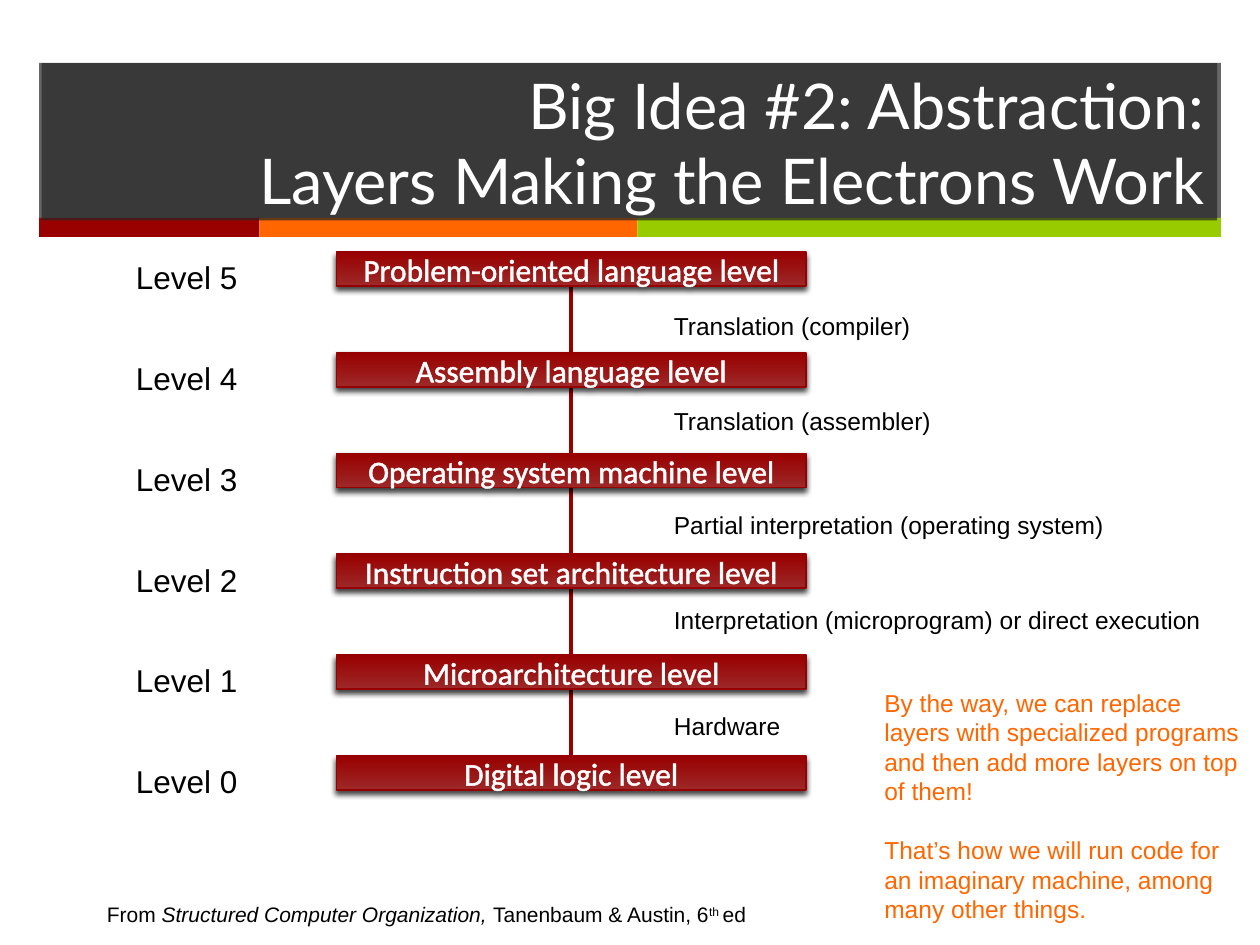
from lxml.etree import SubElement
from pptx import Presentation
from pptx.dml.color import RGBColor
from pptx.enum.shapes import MSO_CONNECTOR, MSO_SHAPE
from pptx.enum.text import MSO_ANCHOR, MSO_AUTO_SIZE, PP_ALIGN
from pptx.oxml import parse_xml
from pptx.oxml.ns import nsdecls, qn
from pptx.util import Emu, Pt

PX = 9144  # EMU per px, 100 px to the inch

WHITE = RGBColor(0xFF, 0xFF, 0xFF)
BLACK = RGBColor(0, 0, 0)
CHARCOAL = RGBColor(0x26, 0x26, 0x26)
RED = RGBColor(0x99, 0, 0)
LIGHT_RED = RGBColor(0x9D, 0x28, 0x28)
EDGE_RED = RGBColor(0x96, 0, 0)
ORANGE = RGBColor(0xFF, 0x66, 0)
GREEN = RGBColor(0x99, 0xCC, 0)

LEVELS = [
    "Problem-oriented language level",
    "Assembly language level",
    "Operating system machine level",
    "Instruction set architecture level",
    "Microarchitecture level",
    "Digital logic level",
]
STEPS = [  # top, width, text
    (242, 413, "Translation (compiler)"),
    (317, 413, "Translation (assembler)"),
    (400, 388, "Partial interpretation (operating system)"),
    (475, 458, "Interpretation (microprogram) or direct execution"),
    (559, 413, "Hardware"),
]
SOURCE = [  # text, italic, raised
    ("From ", False, False),
    ("Structured Computer Organization, ", True, False),
    ("Tanenbaum & Austin, 6", False, False),
    ("th ", False, True),
    ("ed", False, False),
]
ASIDE = [
    "By the way, we can replace layers with specialized programs "
    "and then add more layers on top of them!",
    "That’s how we will run code for an imaginary machine, "
    "among many other things.",
]
LEVEL_TOP, LEVEL_PITCH = 200, 80
BOX_LEFT, BOX_WIDTH, BOX_HEIGHT = 267, 373, 27


def px(*lengths):
    return [Emu(length * PX) for length in lengths]


def style(para, name, size, color):
    para.font.name = name
    para.font.size = Pt(size)
    para.font.color.rgb = color


def add_rect(page, left, top, width, height, color, alpha=None):
    rect = page.shapes.add_shape(MSO_SHAPE.RECTANGLE, *px(left, top, width, height))
    rect.shadow.inherit = False
    rect.line.fill.background()
    rect.fill.solid()
    rect.fill.fore_color.rgb = color
    if alpha:
        fill_color = rect._element.spPr.find(qn("a:solidFill"))[0]
        SubElement(fill_color, qn("a:alpha"), val=str(alpha * 1000))
    return rect


def add_label(page, left, top, width, height, texts, size, color=BLACK):
    box = page.shapes.add_textbox(*px(left, top, width, height))
    frame = box.text_frame
    frame.word_wrap = True
    frame.auto_size = MSO_AUTO_SIZE.SHAPE_TO_FIT_TEXT
    frame.text = "\n".join(texts)
    for para in frame.paragraphs:
        style(para, "Arial", size, color)
    return box


def add_level_box(page, top, text):
    box = add_rect(page, BOX_LEFT, top, BOX_WIDTH, BOX_HEIGHT, RED)
    box.fill.gradient()
    box.fill.gradient_angle = 90
    for stop, color in zip(box.fill.gradient_stops, (LIGHT_RED, RED)):
        stop.color.rgb = color
    box.line.color.rgb = EDGE_RED
    box.line.width = Pt(1)
    box._element.spPr.find(qn("a:effectLst")).append(parse_xml(
        f'<a:outerShdw {nsdecls("a")} blurRad="{Pt(3)}" dist="{Pt(2)}" '
        'dir="6600000" rotWithShape="0"><a:srgbClr val="000000">'
        '<a:alpha val="75000"/></a:srgbClr></a:outerShdw>'))

    box.text_frame.vertical_anchor = MSO_ANCHOR.MIDDLE
    para = box.text_frame.paragraphs[0]
    para.alignment = PP_ALIGN.CENTER
    style(para, "Calibri", 18, WHITE)
    span = para.add_run()
    span.text = text
    span._r.get_or_add_rPr().insert(0, parse_xml(
        f'<a:ln {nsdecls("a")} w="{Pt(0.75)}"><a:solidFill>'
        f'<a:srgbClr val="{WHITE}"/></a:solidFill></a:ln>'))


def add_spine(page, x, top, bottom):
    spine = page.shapes.add_connector(MSO_CONNECTOR.STRAIGHT, *px(x, top, x, bottom))
    spine.line.color.rgb = RED
    spine.line.width = Pt(2)
    SubElement(spine._element.spPr, qn("a:effectLst"))


def add_header(page):
    add_rect(page, 31, 50, 938, 124, CHARCOAL, 70)
    for left, width, color in ((31, 175, RED), (206, 300, ORANGE), (506, 463, GREEN)):
        add_rect(page, left, 173, width, 15, color)
    title = add_rect(page, 33, 50, 933, 125, CHARCOAL, 70)
    title.text_frame.vertical_anchor = MSO_ANCHOR.MIDDLE
    para = title.text_frame.paragraphs[0]
    para.text = "Big Idea #2: Abstraction:\vLayers Making the Electrons Work"
    para.alignment = PP_ALIGN.RIGHT
    style(para, "Lato", 36, WHITE)


def add_source(page):
    box = add_label(page, 75, 711, 693, 30, [""], 12)
    para = box.text_frame.paragraphs[0]
    for text, italic, raised in SOURCE:
        span = para.add_run()
        span.text = text
        if italic:
            span.font.italic = True
        if raised:
            span._r.get_or_add_rPr().set("baseline", "30000")


def main():
    deck = Presentation()
    deck.slide_width, deck.slide_height = px(1000, 750)
    page = deck.slides.add_slide(deck.slide_layouts[6])

    add_header(page)

    # Stack of levels on a spine, with their numbers
    tops = [LEVEL_TOP + LEVEL_PITCH * row for row in range(len(LEVELS))]
    half = BOX_HEIGHT // 2
    add_spine(page, BOX_LEFT + BOX_WIDTH // 2, tops[0] + half, tops[-1] + half)
    for top, text in zip(tops, LEVELS):
        add_level_box(page, top, text)
    for row, top in enumerate(tops):
        add_label(page, 98, top, 129, 40, [f"Level {len(LEVELS) - 1 - row}"], 18)

    # What leads from one level to the next
    for top, width, text in STEPS:
        add_label(page, 525, top, width, 34, [text], 14)

    # Source line and aside
    add_source(page)
    aside = add_label(page, 692, 541, 308, 199, ASIDE, 14, ORANGE)
    aside.text_frame.paragraphs[1].space_before = Pt(17)

    deck.save("out.pptx")


if __name__ == "__main__":
    main()
